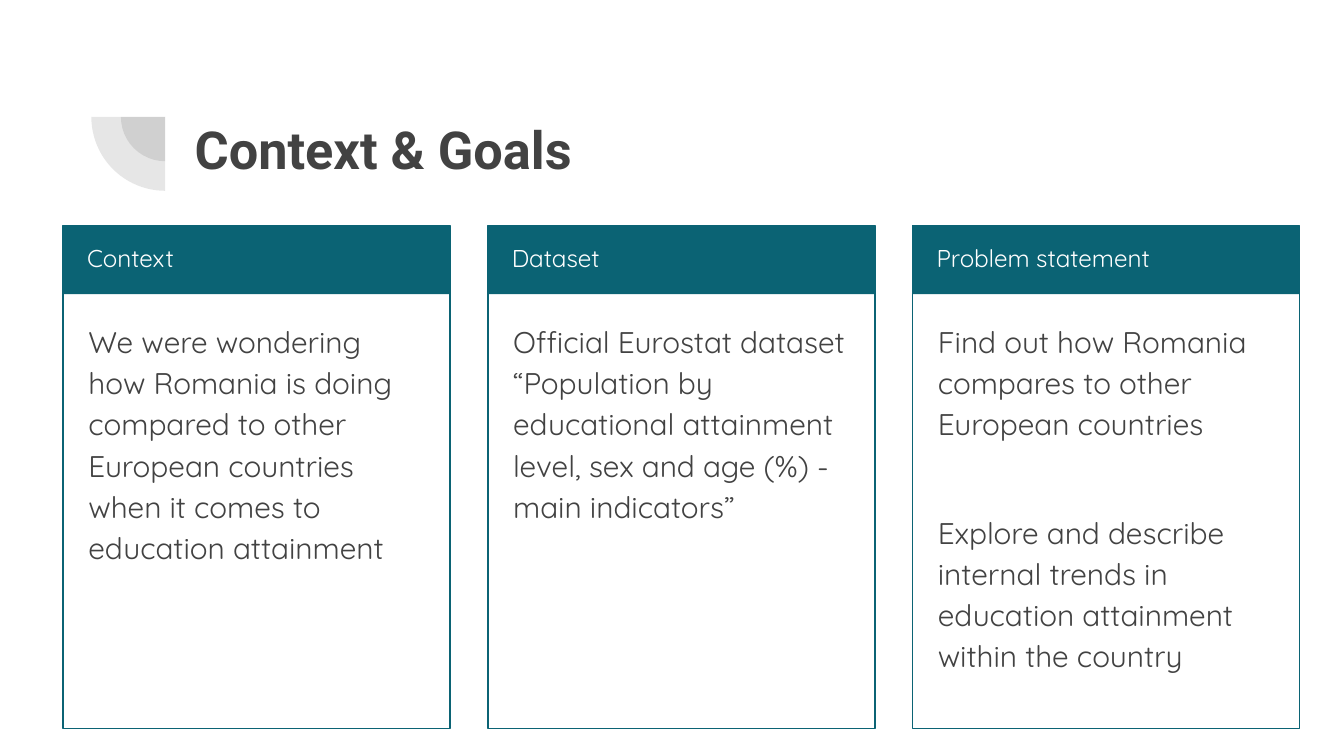
from dataclasses import dataclass

from lxml import etree
from pptx import Presentation
from pptx.dml.color import RGBColor
from pptx.enum.shapes import MSO_SHAPE
from pptx.enum.text import MSO_ANCHOR
from pptx.oxml.ns import qn
from pptx.util import Inches, Pt

RECTANGLE = MSO_SHAPE.RECTANGLE
PIE = MSO_SHAPE.PIE
TOP = MSO_ANCHOR.TOP


@dataclass(frozen=True)
class Theme:
    teal: RGBColor = RGBColor(0x0B, 0x63, 0x74)
    dark: RGBColor = RGBColor(0x42, 0x42, 0x42)
    white: RGBColor = RGBColor(0xFF, 0xFF, 0xFF)
    title_font: str = "Roboto"
    body_font: str = "Quicksand"
    title_size: int = 28
    header_size: int = 13
    body_size: int = 16
    line_spacing: float = 1.15
    paragraph_gap: int = 36
    border_width: float = 0.75
    pie_opacity: int = 13


THEME = Theme()

SLIDE_WIDTH = 10
SLIDE_HEIGHT = SLIDE_WIDTH * 9 / 16
COLUMN_LEFT, COLUMN_PITCH, COLUMN_WIDTH = 0.47, 3.16, 2.88
CARD_TOP, CARD_HEIGHT, HEADER_HEIGHT = 1.68, 3.74, 0.51
HEADER_INDENT, BODY_INDENT = 0.08, 0.09
BODY_OFFSET, BODY_HEIGHT = 0.59, 3.06
PIE_CENTER = (1.23, 0.87)
PIE_RADII = (0.33, 0.55)

CARDS = [
    ("Context", [
        "We were wondering how Romania is doing compared to other European "
        "countries when it comes to education attainment",
    ]),
    ("Dataset", [
        "Official Eurostat dataset “Population by educational attainment "
        "level, sex and age (%) - main indicators”",
    ]),
    ("Problem statement", [
        "Find out how Romania compares to other European countries",
        "Explore and describe internal trends in education attainment "
        "within the country",
    ]),
]


def add_panel(slide, kind, box, fill=None, line=None):
    shape = slide.shapes.add_shape(kind, *map(Inches, box))
    shape.shadow.inherit = False
    if fill is None:
        shape.fill.background()
    else:
        shape.fill.solid()
        shape.fill.fore_color.rgb = fill
    if line is None:
        shape.line.fill.background()
    else:
        shape.line.color.rgb = line
        shape.line.width = Pt(THEME.border_width)
    return shape


def add_text(slide, box, texts, font, size, color, bold=False, spacing=1.0):
    frame = slide.shapes.add_textbox(*map(Inches, box)).text_frame
    frame.word_wrap = True
    frame.vertical_anchor = TOP
    frame.margin_left = frame.margin_right = Inches(0.1)
    frame.margin_top = frame.margin_bottom = Inches(0.1)
    for index, text in enumerate(texts):
        paragraph = frame.add_paragraph() if index else frame.paragraphs[0]
        paragraph.text = text
        paragraph.line_spacing = spacing
        paragraph.space_before = Pt(THEME.paragraph_gap if index else 0)
        paragraph.font.name = font
        paragraph.font.size = Pt(size)
        paragraph.font.bold = bold
        paragraph.font.color.rgb = color


def add_quarter_pie(slide, radius):
    center_x, center_y = PIE_CENTER
    box = (center_x - radius, center_y - radius, 2 * radius, 2 * radius)
    shape = add_panel(slide, PIE, box, fill=THEME.dark)
    shape.adjustments[0] = 54
    shape.adjustments[1] = 108
    color = shape.fill._xPr.find(qn("a:solidFill"))[0]
    etree.SubElement(color, qn("a:alpha"), val=str(THEME.pie_opacity * 1000))


def add_card(slide, column, header, texts):
    left = COLUMN_LEFT + column * COLUMN_PITCH
    header_box = (left + HEADER_INDENT, CARD_TOP,
                  COLUMN_WIDTH - 2 * HEADER_INDENT, HEADER_HEIGHT)
    body_box = (left + BODY_INDENT, CARD_TOP + BODY_OFFSET,
                COLUMN_WIDTH - 2 * BODY_INDENT, BODY_HEIGHT)
    add_panel(slide, RECTANGLE, (left, CARD_TOP, COLUMN_WIDTH, HEADER_HEIGHT),
              fill=THEME.teal)
    add_panel(slide, RECTANGLE, (left, CARD_TOP, COLUMN_WIDTH, CARD_HEIGHT),
              line=THEME.teal)
    add_text(slide, header_box, [header], THEME.body_font, THEME.header_size,
             THEME.white, spacing=THEME.line_spacing)
    add_text(slide, body_box, texts, THEME.body_font, THEME.body_size,
             THEME.dark, spacing=THEME.line_spacing)


def main():
    presentation = Presentation()
    presentation.slide_width = Inches(SLIDE_WIDTH)
    presentation.slide_height = Inches(SLIDE_HEIGHT)
    slide = presentation.slides.add_slide(presentation.slide_layouts[6])
    for radius in PIE_RADII:
        add_quarter_pie(slide, radius)
    add_text(slide, (1.35, 0.77, 7.69, 1.09), ["Context & Goals"],
             THEME.title_font, THEME.title_size, THEME.dark, bold=True)
    for column, (header, texts) in enumerate(CARDS):
        add_card(slide, column, header, texts)
    presentation.save("out.pptx")


if __name__ == "__main__":
    main()
